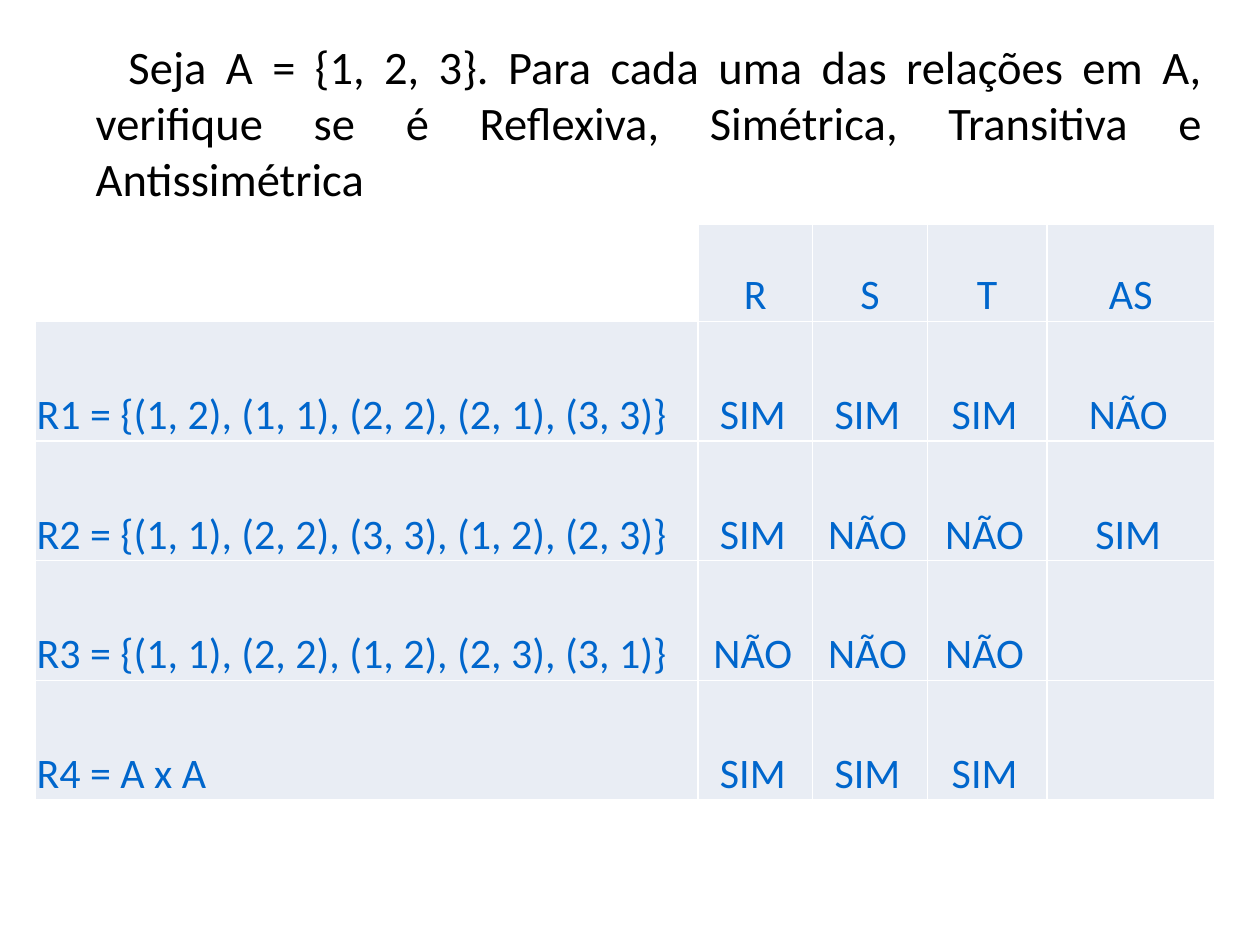
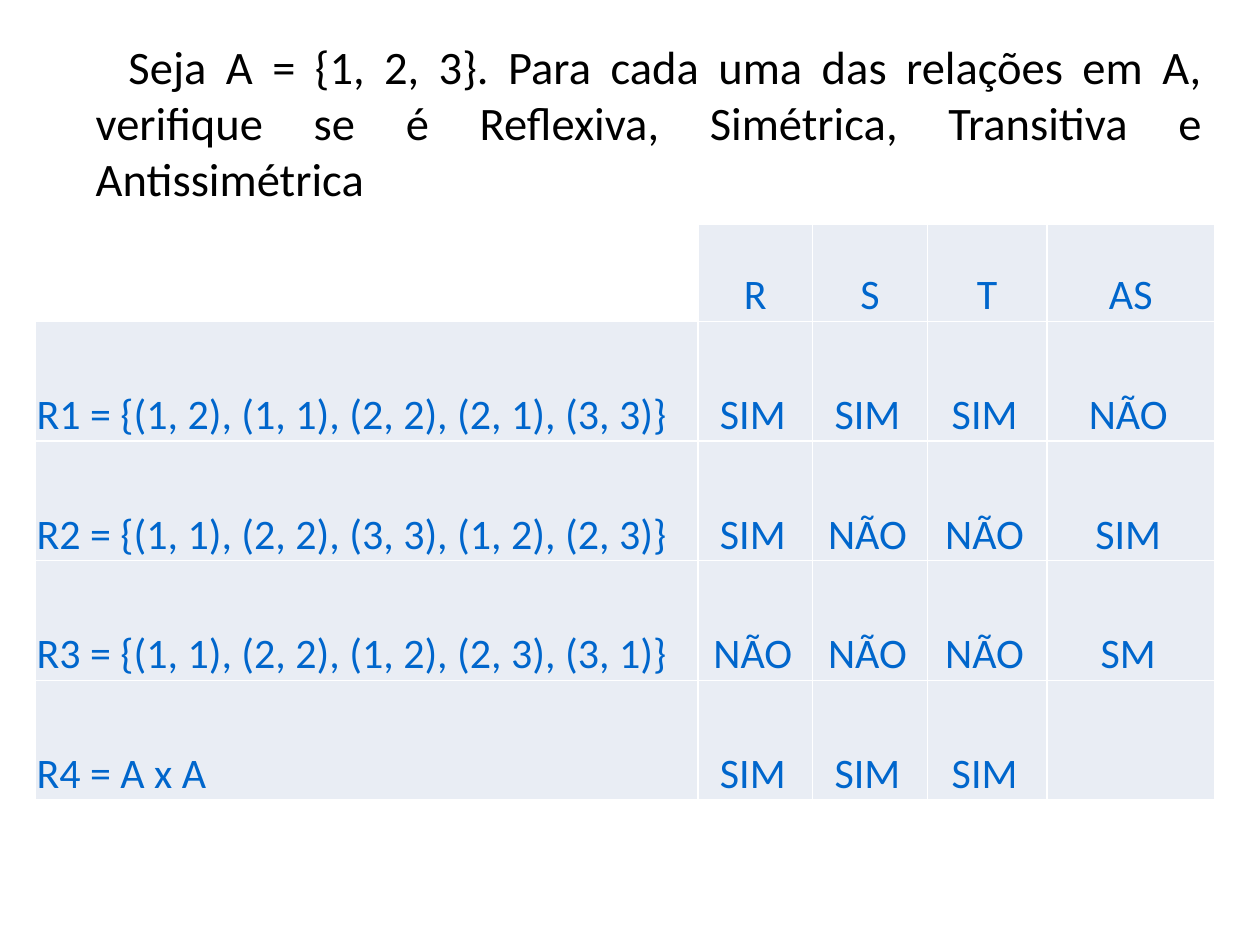
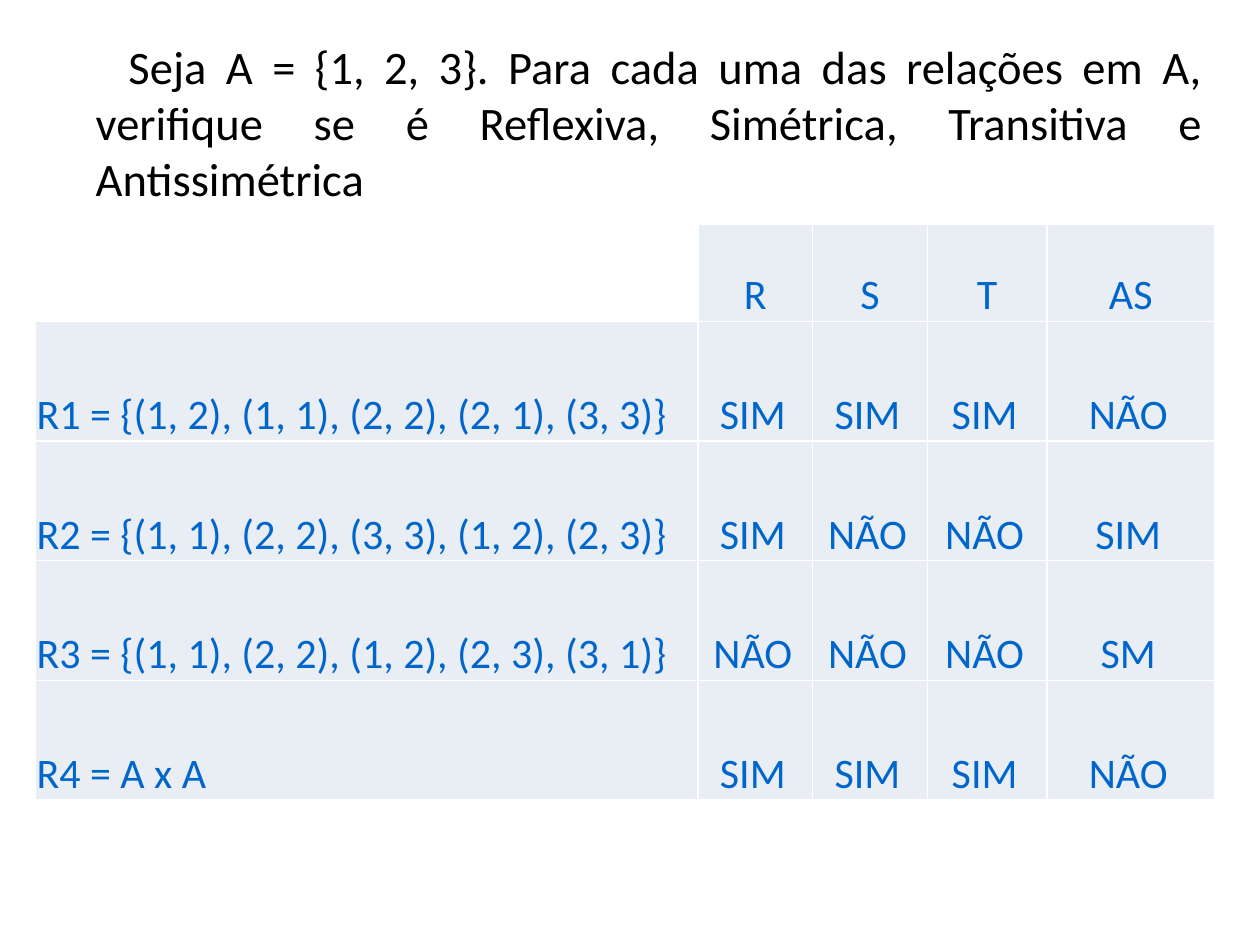
import dataclasses

import lxml.etree
import pptx
import pptx.dml.color
import pptx.enum.text
import pptx.oxml.ns
import pptx.util

Inches = pptx.util.Inches
Pt = pptx.util.Pt
ALIGN = pptx.enum.text.PP_ALIGN
qn = pptx.oxml.ns.qn


@dataclasses.dataclass(frozen=True)
class Theme:
    font: str = "Calibri"
    ink: str = "000000"
    answer: str = "0066CC"
    cell: str = "E9EDF4"
    paper: str = "FFFFFF"
    statement_size: float = 26.6
    table_size: float = 24
    border_width: float = 1


STATEMENT = (
    "Seja A = {1, 2, 3}. Para cada uma das relações em A, verifique se é "
    "Reflexiva, Simétrica, Transitiva e Antissimétrica"
)
PROPERTIES = ["", "R", "S", "T", "AS"]
RELATIONS = [
    ["R1 = {(1, 2), (1, 1), (2, 2), (2, 1), (3, 3)}", "SIM", "SIM", "SIM", "NÃO"],
    ["R2 = {(1, 1), (2, 2), (3, 3), (1, 2), (2, 3)}", "SIM", "NÃO", "NÃO", "SIM"],
    ["R3 = {(1, 1), (2, 2), (1, 2), (2, 3), (3, 1)}", "NÃO", "NÃO", "NÃO", "SM"],
    ["R4 = A x A", "SIM", "SIM", "SIM", "NÃO"],
]
COLUMN_WIDTHS = [5.26, 0.91, 0.91, 0.95, 1.33]
ROW_HEIGHTS = [0.77] + [0.95] * len(RELATIONS)
LEFT, WIDTH = 0.28, 9.37


def rgb(value):
    return pptx.dml.color.RGBColor.from_string(value)


def write(frame, text, *, font, size, color, align=ALIGN.LEFT):
    """Put one formatted paragraph in the frame and return it."""
    paragraph = frame.paragraphs[0]
    paragraph.alignment = align
    run = paragraph.add_run()
    run.text = text
    run.font.name = font
    run.font.size = Pt(size)
    run.font.color.rgb = rgb(color)
    return paragraph


class Deck:
    def __init__(self, theme):
        self.theme = theme
        self.presentation = pptx.Presentation()
        self.presentation.slide_width = Inches(10)
        self.presentation.slide_height = Inches(7.5)
        self.slide = None

    def new_slide(self):
        self.slide = self.presentation.slides.add_slide(self.presentation.slide_layouts[1])
        background = self.slide.background.fill
        background.solid()
        background.fore_color.rgb = rgb(self.theme.paper)
        title = self.slide.shapes.title
        title.element.getparent().remove(title.element)

    def statement(self, text):
        body = self.slide.placeholders[1]
        body.left, body.top = Inches(LEFT), Inches(0.23)
        body.width, body.height = Inches(WIDTH), Inches(1.7)
        frame = body.text_frame
        frame.auto_size = pptx.enum.text.MSO_AUTO_SIZE.NONE
        frame.margin_top = Inches(0.07)
        paragraph = write(frame, text, font=self.theme.font, color=self.theme.ink,
                          size=self.theme.statement_size, align=ALIGN.JUSTIFY)
        properties = paragraph._p.get_or_add_pPr()
        properties.set("marL", str(Inches(0.38)))
        properties.set("indent", str(Inches(0.26)))
        lxml.etree.SubElement(properties, qn("a:buNone"))

    def table(self, rows):
        grid = self.slide.shapes.add_table(
            len(rows), len(COLUMN_WIDTHS), Inches(LEFT), Inches(1.78),
            Inches(WIDTH), Inches(sum(ROW_HEIGHTS))).table
        grid.first_row = grid.horz_banding = False
        for column, width in zip(grid.columns, COLUMN_WIDTHS):
            column.width = Inches(width)
        for row, height in zip(grid.rows, ROW_HEIGHTS):
            row.height = Inches(height)
        for r, texts in enumerate(rows):
            for c, text in enumerate(texts):
                self.cell(grid.cell(r, c), text, is_corner=r == c == 0,
                          is_relation=c == 0, is_answer=r > 0 and c > 0)

    def cell(self, cell, text, is_corner, is_relation, is_answer):
        self.borders(cell)
        cell.fill.solid()
        cell.fill.fore_color.rgb = rgb(self.theme.paper if is_corner else self.theme.cell)
        cell.vertical_anchor = pptx.enum.text.MSO_ANCHOR.BOTTOM
        cell.margin_left = cell.margin_top = Inches(0.01)
        cell.margin_right = Inches(0.05 if is_answer else 0.01)
        cell.margin_bottom = 0
        if text:
            write(cell.text_frame, text, font=self.theme.font, color=self.theme.answer,
                  size=self.theme.table_size,
                  align=ALIGN.LEFT if is_relation else ALIGN.CENTER)

    def borders(self, cell):
        properties = cell._tc.get_or_add_tcPr()
        for side in ("a:lnL", "a:lnR", "a:lnT", "a:lnB"):
            line = lxml.etree.SubElement(properties, qn(side),
                                         w=str(Pt(self.theme.border_width)))
            fill = lxml.etree.SubElement(line, qn("a:solidFill"))
            lxml.etree.SubElement(fill, qn("a:srgbClr"), val=self.theme.paper)


def relations_until(revealed):
    """Hide the last answer of every relation after the first `revealed` ones."""
    return [row if number < revealed else row[:-1] + [""]
            for number, row in enumerate(RELATIONS)]


def main():
    deck = Deck(Theme())
    for revealed in (2, 3, 4):
        deck.new_slide()
        deck.statement(STATEMENT)
        deck.table([PROPERTIES] + relations_until(revealed))
    deck.presentation.save("out.pptx")


if __name__ == "__main__":
    main()
